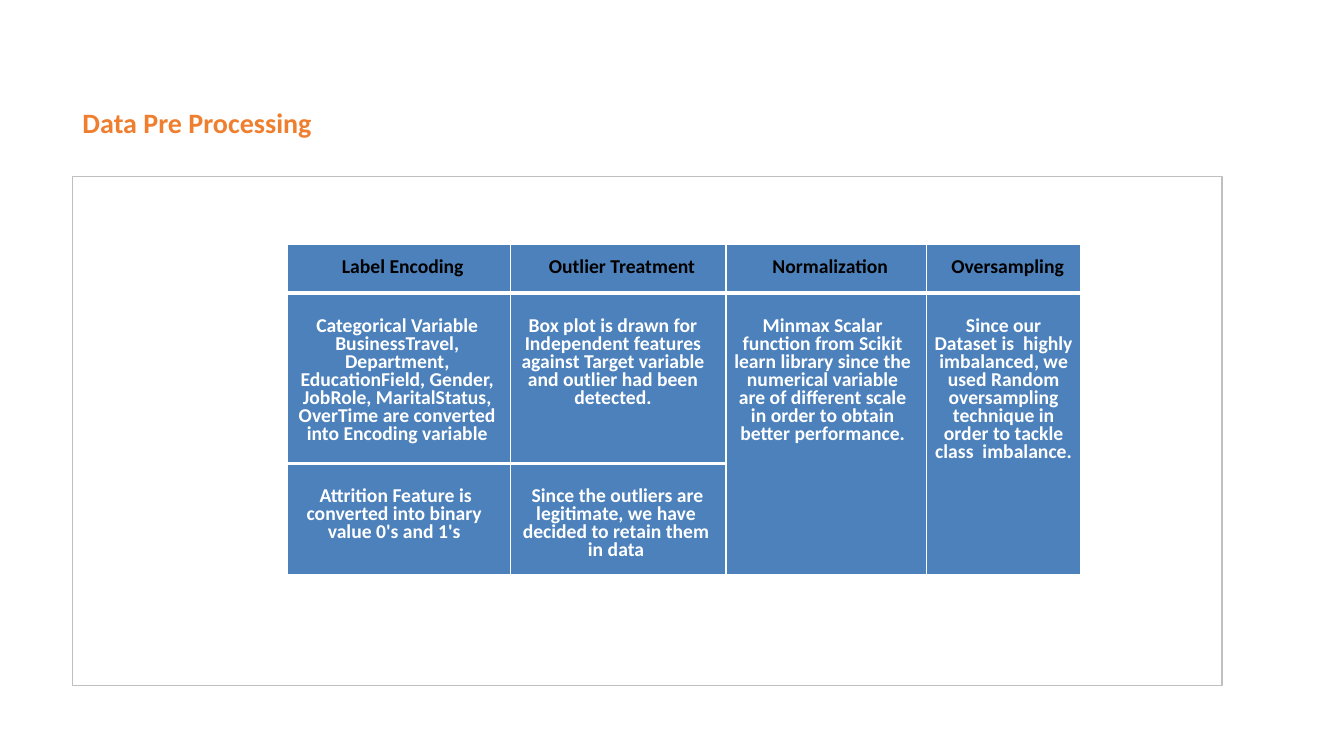
from pptx import Presentation
from pptx.dml.color import RGBColor
from pptx.enum.shapes import MSO_SHAPE
from pptx.enum.text import MSO_ANCHOR, PP_ALIGN
from pptx.oxml import parse_xml
from pptx.oxml.ns import nsdecls
from pptx.util import Inches, Pt

RECT = MSO_SHAPE.RECTANGLE
MIDDLE = MSO_ANCHOR.MIDDLE
LEFT, CENTER = PP_ALIGN.LEFT, PP_ALIGN.CENTER

THEME = {
    "font": "Calibri",
    "title": RGBColor.from_string("EF7E2E"),
    "head": RGBColor.from_string("000000"),
    "white": RGBColor.from_string("FFFFFF"),
    "cell": RGBColor.from_string("4C81BC"),
    "frame": RGBColor.from_string("BFBFBF"),
    "rule": "FFFFFF",
    "big": Pt(20),
    "small": Pt(14),
}


def write(frame, text, color, size, align=LEFT, space=0.9, indent=0):
    frame.word_wrap = True
    para = frame.paragraphs[0]
    para.alignment = align
    para.line_spacing = space
    if indent:
        para._p.get_or_add_pPr().set("indent", str(Inches(indent)))
    run = para.add_run()
    run.text = text
    run.font.name = THEME["font"]
    run.font.size = size
    run.font.bold = True
    run.font.color.rgb = color


def edge(cell, side, width):
    cell._tc.get_or_add_tcPr().append(parse_xml(
        f'<a:ln{side} {nsdecls("a")} w="{Pt(width)}"><a:solidFill>'
        f'<a:srgbClr val="{THEME["rule"]}"/></a:solidFill></a:ln{side}>'))


deck = Presentation()
deck.slide_width, deck.slide_height = Inches(13.33), Inches(7.5)
slide = deck.slides.add_slide(deck.slide_layouts[6])

title = slide.shapes.add_textbox(Inches(0.72), Inches(0.9), Inches(11.4), Inches(0.66))
title.text_frame.vertical_anchor = MIDDLE
write(title.text_frame, "Data Pre Processing", THEME["title"], THEME["big"])

panel = slide.shapes.add_shape(RECT, Inches(0.72), Inches(1.75), Inches(11.4), Inches(5.05))
panel.shadow.inherit = False
panel.fill.solid()
panel.fill.fore_color.rgb = THEME["white"]
panel.line.color.rgb = THEME["frame"]
panel.line.width = Pt(1)

ROWS = [
    ["Label Encoding", "Outlier Treatment", "Normalization", "Oversampling"],
    [
        "Categorical Variable BusinessTravel, Department, EducationField, Gender, "
        "JobRole, MaritalStatus, OverTime are converted into Encoding variable",
        "Box plot is drawn for Independent features against Target variable "
        "and outlier had been detected.",
        "Minmax Scalar function from Scikit learn library since the numerical variable "
        "are of different scale in order to obtain better performance.",
        "Since our Dataset is  highly imbalanced, we used Random oversampling "
        "technique in order to tackle class  imbalance.",
    ],
    [
        "Attrition Feature is converted into binary value 0's and 1's",
        "Since the outliers are legitimate, we have decided to retain them in data",
        "", "",
    ],
]
WIDTHS = [2.21, 2.14, 1.99, 1.53]
HEIGHTS = [0.49, 1.69, 1.1]
TOPS = [0.17, 0.26, 0.26]
LEFTS = [[0.08] * 4, [0.08, 0.08, 0.08, 0.06], [0, 0.08, 0, 0]]
RIGHTS = [[0] * 4, [0.11, 0.18, 0.15, 0.06], [0.09, 0.12, 0, 0]]

grid = slide.shapes.add_table(
    3, 4, Inches(2.85), Inches(2.42), Inches(sum(WIDTHS)), Inches(sum(HEIGHTS))).table
for col, width in zip(grid.columns, WIDTHS):
    col.width = Inches(width)
for row, height in zip(grid.rows, HEIGHTS):
    row.height = Inches(height)
for c in (2, 3):
    grid.cell(1, c).merge(grid.cell(2, c))

for r, texts in enumerate(ROWS):
    for c, text in enumerate(texts):
        cell = grid.cell(r, c)
        split = c < 2
        top = 3 if r == 1 or (r == 2 and split) else 1
        base = 3 if r == 0 or (r == 1 and split) else 1
        for side, width in zip("LRTB", (1, 1, top, base)):
            edge(cell, side, width)
        cell.fill.solid()
        cell.fill.fore_color.rgb = THEME["cell"]
        cell.margin_left = Inches(LEFTS[r][c])
        cell.margin_right = Inches(RIGHTS[r][c])
        cell.margin_top = Inches(TOPS[r])
        cell.margin_bottom = 0
        if text:
            write(cell.text_frame, text, THEME["white" if r else "head"], THEME["small"],
                  align=CENTER, space=Pt(12.9 if r else 12.4), indent=0.03 if r == 2 else 0)

deck.save("out.pptx")
